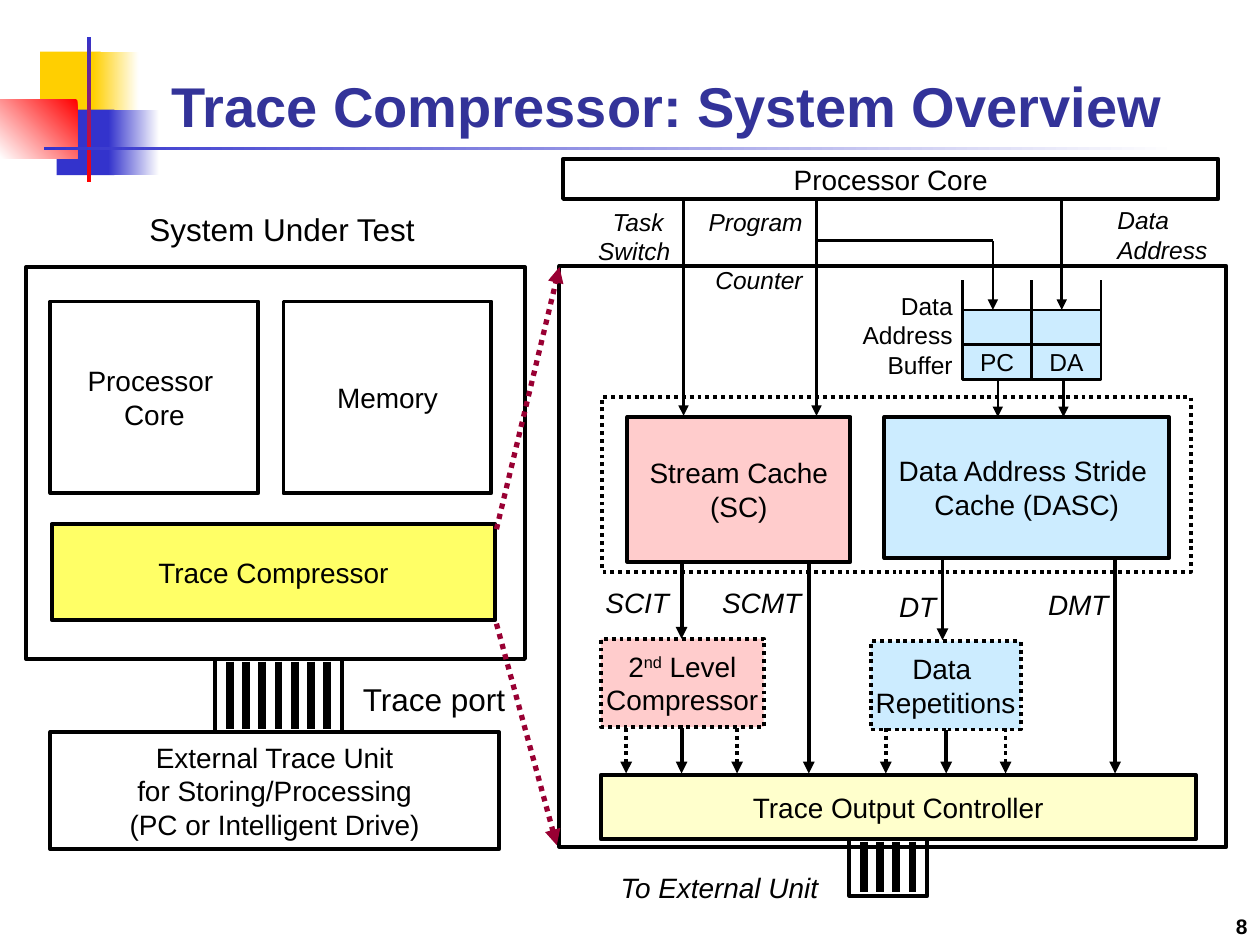
import lxml.etree
import pptx
import pptx.dml.color
import pptx.enum.dml
import pptx.enum.shapes
import pptx.enum.text
import pptx.oxml.ns
import pptx.util

Pt = pptx.util.Pt
RGB = pptx.dml.color.RGBColor.from_string
ALIGN = pptx.enum.text.PP_ALIGN
ANCHOR = pptx.enum.text.MSO_ANCHOR
DOTTED = pptx.enum.dml.MSO_LINE.ROUND_DOT
RECTANGLE = pptx.enum.shapes.MSO_SHAPE.RECTANGLE
STRAIGHT = pptx.enum.shapes.MSO_CONNECTOR.STRAIGHT
qn = pptx.oxml.ns.qn

COLORS = {
    "black": "000000", "white": "FFFFFF", "title": "333399",
    "gold": "FFCF01", "blue": "3333CC", "red": "FF0000",
    "pink": "FFCCCC", "sky": "CCECFF", "cream": "FFFFCC",
    "yellow": "FFFF66", "crimson": "990033",
}

presentation = pptx.Presentation()
presentation.slide_width = Pt(720)
presentation.slide_height = Pt(540)
slide = presentation.slides.add_slide(presentation.slide_layouts[5])


def add_block(bounds, text="", size=16, fill=None, line=2.25, dotted=False,
              align=ALIGN.CENTER, anchor=ANCHOR.MIDDLE, italic=False,
              bold=False, wrap=False, margin=None):
    lengths = [Pt(value) for value in bounds]
    if line:
        shape = slide.shapes.add_shape(RECTANGLE, *lengths)
        shape.shadow.inherit = False
        shape.line.color.rgb = RGB(COLORS["black"])
        shape.line.width = Pt(line)
        if dotted:
            shape.line.dash_style = DOTTED
        if fill:
            shape.fill.solid()
            shape.fill.fore_color.rgb = RGB(COLORS[fill])
        else:
            shape.fill.background()
    else:
        shape = slide.shapes.add_textbox(*lengths)
    frame = shape.text_frame
    frame.text = text
    frame.word_wrap = wrap
    frame.vertical_anchor = anchor
    if margin is not None:
        frame.margin_left = frame.margin_right = Pt(margin)
        frame.margin_top = frame.margin_bottom = Pt(margin)
    for paragraph in frame.paragraphs:
        paragraph.alignment = align
        paragraph.font.size = Pt(size)
        for run in paragraph.runs:
            run.font.name = "Arial"
            run.font.size = Pt(size)
            run.font.italic = italic
            run.font.bold = bold
            run.font.color.rgb = RGB(COLORS["black"])
    return shape


def add_line(x1, y1, x2, y2, width=1.5, color="black", dotted=False, arrow=True):
    connector = slide.shapes.add_connector(STRAIGHT, Pt(x1), Pt(y1), Pt(x2), Pt(y2))
    connector.line.color.rgb = RGB(COLORS[color])
    connector.line.width = Pt(width)
    if dotted:
        connector.line.dash_style = DOTTED
    properties = connector._element.spPr
    if arrow:
        outline = properties.find(qn("a:ln"))
        lxml.etree.SubElement(outline, qn("a:tailEnd"), type="triangle")
    lxml.etree.SubElement(properties, qn("a:effectLst"))


ornaments = [
    (23, 29.5, 34.5, 37.5, "gold", "gold", 0),
    (53.3, 29.5, 26, 37.5, "gold", "white", 0),
    (32.4, 62.6, 33, 37.5, "blue", "blue", 0),
    (62, 62.6, 29, 37.5, "blue", "white", 0),
    (0, 56.9, 44.3, 33.5, "red", "white", 225),
    (49.7, 21, 2.5, 83, "blue", "red", 270),
    (25.2, 83.8, 648, 2.2, "blue", "white", 0),
]
for left, top, width, height, start, end, angle in ornaments:
    ornament = slide.shapes.add_shape(RECTANGLE, Pt(left), Pt(top), Pt(width), Pt(height))
    ornament.shadow.inherit = False
    ornament.line.fill.background()
    if start == end:
        ornament.fill.solid()
        ornament.fill.fore_color.rgb = RGB(COLORS[start])
    else:
        ornament.fill.gradient()
        ornament.fill.gradient_angle = angle
        for stop, color in zip(ornament.fill.gradient_stops, (start, end)):
            stop.color.rgb = RGB(COLORS[color])

title = slide.shapes.title
title.left, title.top, title.width, title.height = Pt(90.7), Pt(12.2), Pt(613.4), Pt(70.6)
title.text_frame.text = "Trace Compressor: System Overview"
title.text_frame.vertical_anchor = ANCHOR.BOTTOM
title_paragraph = title.text_frame.paragraphs[0]
title_paragraph.alignment = ALIGN.LEFT
title_font = title_paragraph.runs[0].font
title_font.name = "Arial"
title_font.size = Pt(32)
title_font.bold = True
title_font.color.rgb = RGB(COLORS["title"])

blocks = [
    ((15, 152.6, 285, 224), "", None, False),
    ((28.8, 172.3, 118.8, 109.5), "Processor \vCore", None, False),
    ((162, 172.3, 118.8, 109.5), "Memory", None, False),
    ((29.5, 299.5, 253.5, 54.7), "Trace Compressor", "yellow", False),
    ((28.8, 418.3, 256.3, 67),
     "External Trace Unit\vfor Storing/Processing\n(PC or Intelligent Drive)", None, False),
    ((344.2, 226.8, 336.2, 100), "", None, True),
    ((358.5, 238.3, 127.5, 82.8), "Stream Cache\v(SC)", "pink", False),
    ((505.4, 238.3, 162.7, 80.6), "Data Address Stride \vCache (DASC)", "sky", False),
    ((497.5, 366.5, 85.7, 50.4), "Data \vRepetitions", "sky", True),
    ((321.8, 90.7, 374.4, 23), "Processor Core", None, False),
    ((319.7, 152, 381, 332), "", None, False),
    ((343.4, 442.8, 340, 36.7), "Trace Output Controller", "cream", False),
]
for bounds, text, fill, dotted in blocks:
    add_block(bounds, text, fill=fill, dotted=dotted)

second_level = add_block((343.4, 365, 93, 50.4), "2", fill="pink", dotted=True)
paragraph = second_level.text_frame.paragraphs[0]
ordinal = paragraph.add_run()
ordinal.text = "nd"
ordinal.font._element.set("baseline", "30000")
paragraph.add_run().text = " Level"
paragraph.add_line_break()
paragraph.add_run().text = "Compressor"
for run in paragraph.runs:
    run.font.name = "Arial"
    run.font.size = Pt(16)
    run.font.color.rgb = RGB(COLORS["black"])

cell_width, cell_height, buffer_left, buffer_top = 39.6, 19.8, 550, 177.1
for column, name in enumerate(("PC", "DA")):
    for row, text in enumerate(("", name)):
        add_block((buffer_left + column * cell_width, buffer_top + row * cell_height,
                   cell_width, cell_height), text, size=14, fill="sky", line=1.5)
for column in range(3):
    x = buffer_left + column * cell_width
    add_line(x, buffer_top, x, 160, arrow=False)

ports = [(123, 376.6, 72.7, 41.8, 7), (485.3, 479.5, 44.6, 32.4, 4)]
for left, top, width, height, bars in ports:
    add_block((left, top, width, height))
    for bar in range(bars):
        x = left + 8.4 + bar * 9.25
        add_line(x, top + 1.5, x, top + height - 2, width=4.5, arrow=False)

flow_labels = [
    (330.5, 334.8, 51.8, "SCIT"), (393.8, 334.8, 64, "SCMT"),
    (499, 337, 36, "DT"), (569.5, 335.5, 64, "DMT"),
]
for left, top, width, text in flow_labels:
    add_block((left, top, width, 19.4), text, line=None, align=ALIGN.RIGHT,
              anchor=ANCHOR.TOP, italic=True, wrap=True, margin=0)

labels = [
    ((397.4, 114.5, 68.4, 57.6), "Program \vCounter", 14, ALIGN.RIGHT, True),
    ((631.4, 113.8, 68.4, 41), "Data Address", 14, ALIGN.LEFT, True),
    ((324, 114.5, 66.2, 41), "Task \vSwitch", 14, ALIGN.RIGHT, True),
    ((475.2, 162.7, 76.3, 57.6), "Data Address\vBuffer", 14, ALIGN.RIGHT, False),
    ((44.6, 116.6, 233.3, 28.8), "System Under Test", 18, ALIGN.CENTER, False),
    ((200.2, 385.2, 102.2, 28.8), "Trace port", 18, ALIGN.LEFT, False),
]
for bounds, text, size, align, italic in labels:
    add_block(bounds, text, size, line=None, align=align, anchor=ANCHOR.TOP,
              italic=italic, wrap=True)
add_block((342.7, 495.4, 136.8, 23), "To External Unit", line=None, italic=True)
add_block((570.2, 504, 149.8, 36), "8", 12, line=None, align=ALIGN.RIGHT,
          anchor=ANCHOR.BOTTOM, bold=True, wrap=True)

signal_arrows = [
    (390.6, 113.4, 237.6), (466.6, 113.4, 237.6), (606.7, 113.4, 177.1),
    (567.4, 137.5, 177.1), (570.2, 217, 238.3), (607.7, 217, 238.3),
]
for x, top, bottom in signal_arrows:
    add_line(x, top, x, bottom)
add_line(466.6, 137.5, 567.4, 137.5, arrow=False)

output_arrows = [
    (389.5, 321.1, 365), (538.6, 319, 365.8), (462.2, 321.1, 442),
    (637.2, 319, 442), (389.5, 416, 442), (540.7, 417, 442),
]
for x, top, bottom in output_arrows:
    add_line(x, top, x, bottom, width=2.25)
for x in (357.8, 421.2, 506.2, 574.6):
    add_line(x, 416, x, 442, width=2.25, dotted=True)

for start_y, end_x, end_y in ((302.4, 319.7, 152.6), (356.4, 318.2, 483)):
    add_line(283.7, start_y, end_x, end_y, width=3, color="crimson", dotted=True)

presentation.save("out.pptx")
